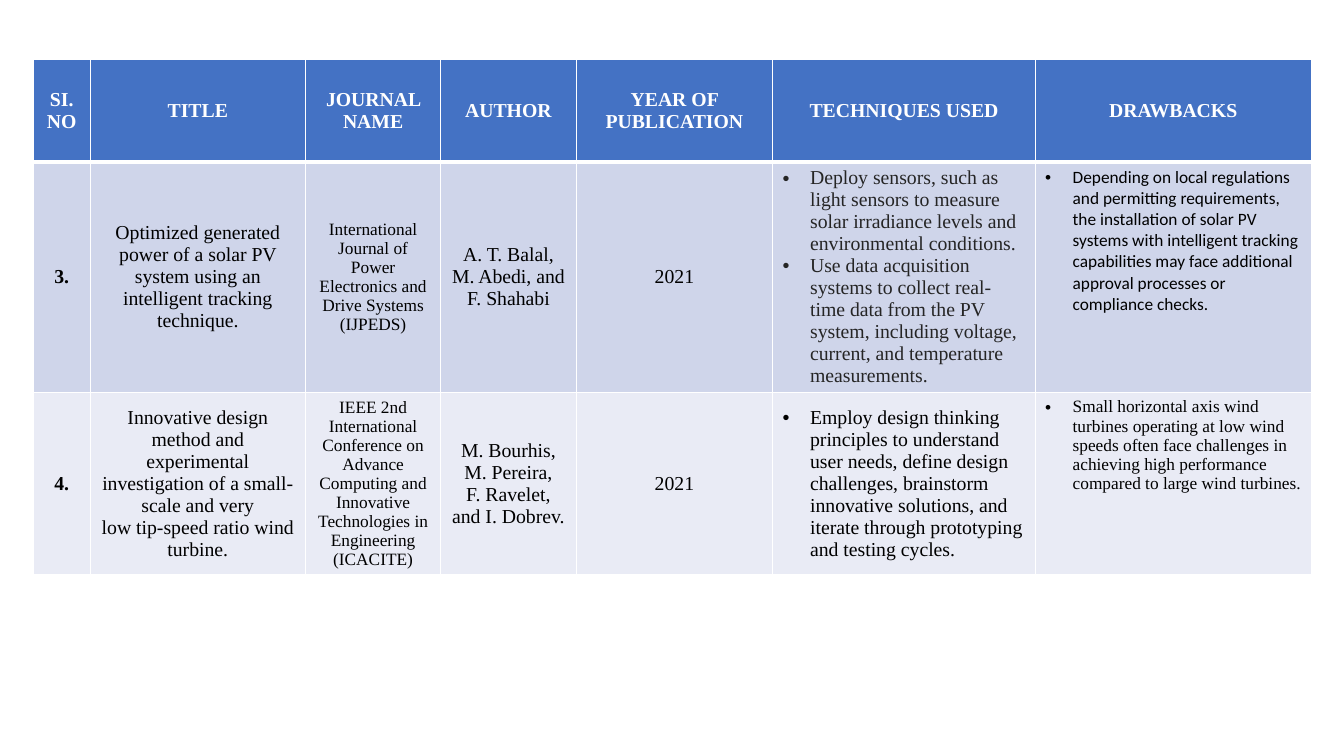
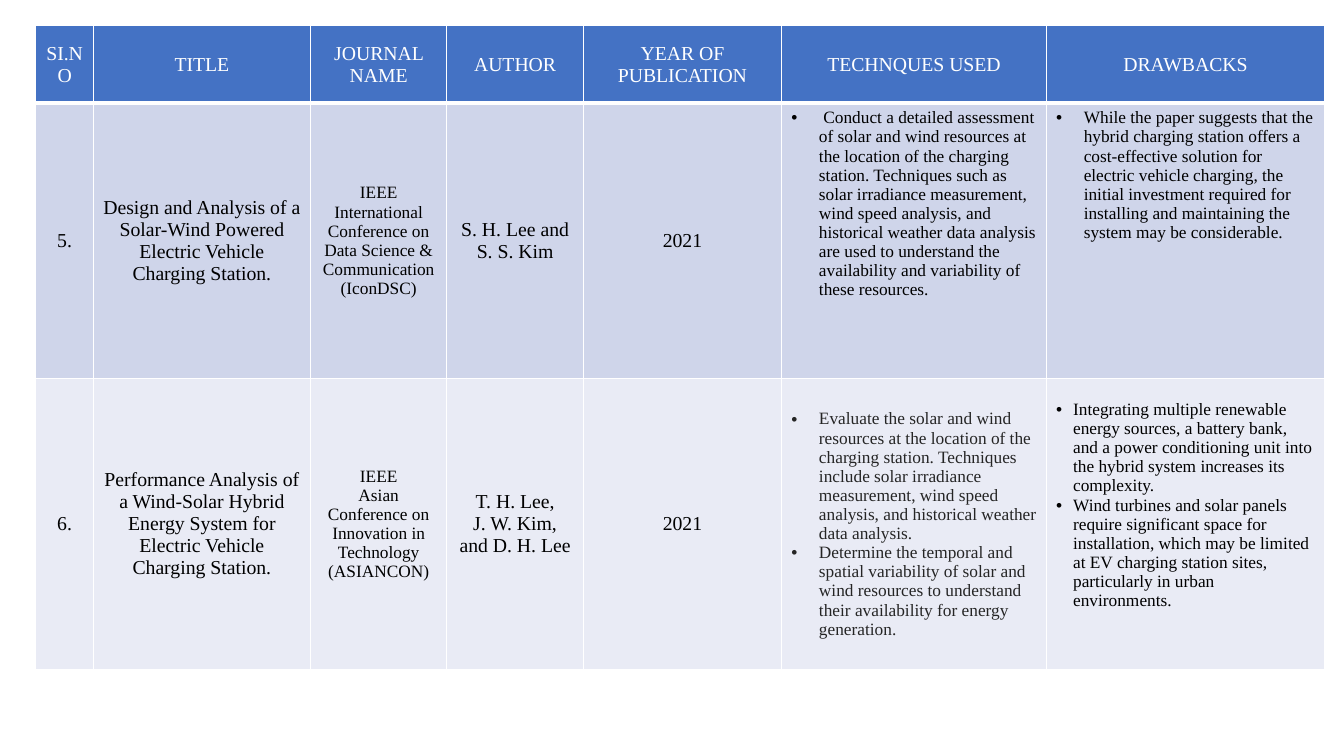
import dataclasses

import lxml.etree
import pptx
import pptx.dml.color
import pptx.enum.text
import pptx.oxml.ns
import pptx.util

RGBColor = pptx.dml.color.RGBColor
ANCHOR = pptx.enum.text.MSO_ANCHOR
ALIGN = pptx.enum.text.PP_ALIGN
Inches = pptx.util.Inches
Pt = pptx.util.Pt

WHITE = RGBColor(0xFF, 0xFF, 0xFF)
BLACK = RGBColor(0x00, 0x00, 0x00)
CHARCOAL = RGBColor(0x25, 0x25, 0x25)
HEADER_BLUE = RGBColor(0x44, 0x72, 0xC4)
BAND_FILLS = (RGBColor(0xCF, 0xD5, 0xEA), RGBColor(0xE9, 0xEB, 0xF5))

SLIDE_WIDTH, SLIDE_HEIGHT = 15.11, 8.5
COLUMN_WEIGHTS = (0.64, 2.42, 1.52, 1.52, 2.21, 2.95, 3.1)
SIDE_INSET, EDGE_INSET = 0.11, 0.06
THIN_RULE, HEADER_RULE = 1, 3
LARGE, SMALL = 16, 14


@dataclasses.dataclass
class Entry:
    """The paragraphs of one table cell and their common formatting."""
    paragraphs: tuple
    size: int = LARGE
    bold: bool = False
    color: RGBColor = BLACK
    font: str = "Times New Roman"
    anchor: ANCHOR = ANCHOR.MIDDLE
    bullet_indent: float = 0
    top_inset: float = EDGE_INSET


def centered(*paragraphs, **formatting):
    return Entry(paragraphs, **formatting)


def bullets(*paragraphs, anchor=ANCHOR.TOP, bullet_indent=0.31, **formatting):
    return Entry(paragraphs, anchor=anchor, bullet_indent=bullet_indent, **formatting)


def add_xml(parent, tag, **attributes):
    return lxml.etree.SubElement(parent, pptx.oxml.ns.qn(tag), attributes)


def add_bullet(paragraph, indent):
    properties = paragraph._p.get_or_add_pPr()
    properties.set("marL", str(Inches(indent)))
    properties.set("indent", str(-Inches(indent)))
    add_xml(properties, "a:buFont", typeface="Arial")
    add_xml(properties, "a:buChar", char="•")


def set_borders(cell, top, bottom):
    """Draw white rules round the cell; call it before setting the fill."""
    properties = cell._tc.get_or_add_tcPr()
    sides = {"a:lnL": THIN_RULE, "a:lnR": THIN_RULE, "a:lnT": top, "a:lnB": bottom}
    for side, width in sides.items():
        rule = add_xml(properties, side, w=str(Pt(width)))
        add_xml(add_xml(rule, "a:solidFill"), "a:srgbClr", val=str(WHITE))


def write_entry(cell, entry):
    cell.vertical_anchor = entry.anchor
    cell.margin_left = cell.margin_right = Inches(SIDE_INSET)
    cell.margin_top = Inches(entry.top_inset)
    cell.margin_bottom = Inches(EDGE_INSET)
    cell.text = "\n".join(entry.paragraphs)
    for paragraph in cell.text_frame.paragraphs:
        if entry.bullet_indent:
            paragraph.alignment = ALIGN.LEFT
            add_bullet(paragraph, entry.bullet_indent)
        else:
            paragraph.alignment = ALIGN.CENTER
        paragraph.font.name = entry.font
        paragraph.font.size = Pt(entry.size)
        paragraph.font.bold = entry.bold
        paragraph.font.color.rgb = entry.color


def header_row(techniques_heading, bold):
    headings = ("SI.NO", "TITLE", "JOURNAL NAME", "AUTHOR",
                "YEAR OF PUBLICATION", techniques_heading, "DRAWBACKS")
    return [centered(heading, bold=bold, color=WHITE) for heading in headings]


def paper_row(number, title, journal, authors, year, techniques, drawbacks, bold_number=False):
    return [centered(number, bold=bold_number), centered(*title),
            centered(*journal, size=SMALL), centered(*authors), centered(year),
            techniques, drawbacks]


def add_survey_slide(deck, left, top, width, row_heights, rows):
    """Add a literature table; left, top and width are shares of the slide."""
    slide = deck.slides.add_slide(deck.slide_layouts[6])
    table_width = width * SLIDE_WIDTH
    table = slide.shapes.add_table(
        len(rows), len(COLUMN_WEIGHTS),
        Inches(left * SLIDE_WIDTH), Inches(top * SLIDE_HEIGHT),
        Inches(table_width), Inches(sum(row_heights))).table
    table.horz_banding = False
    for column, weight in zip(table.columns, COLUMN_WEIGHTS):
        column.width = Inches(table_width * weight / sum(COLUMN_WEIGHTS))
    for index, (entries, height) in enumerate(zip(rows, row_heights)):
        table.rows[index].height = Inches(height)
        fill = BAND_FILLS[(index - 1) % 2] if index else HEADER_BLUE
        for cell, entry in zip(table.rows[index].cells, entries):
            set_borders(cell,
                        top=HEADER_RULE if index == 1 else THIN_RULE,
                        bottom=HEADER_RULE if index == 0 else THIN_RULE)
            cell.fill.solid()
            cell.fill.fore_color.rgb = fill
            write_entry(cell, entry)


def add_tracking_and_turbine_papers(deck):
    add_survey_slide(deck, 0.0247, 0.079, 0.951, (1.15, 2.2, 1.46), [
        header_row("TECHNIQUES USED", bold=True),
        paper_row(
            "3.",
            ["Optimized generated power of a solar PV system using an intelligent "
             "tracking technique."],
            ["International Journal of Power Electronics and Drive Systems (IJPEDS)"],
            ["A. T. Balal, M. Abedi, and F. Shahabi"],
            "2021",
            bullets(
                "Deploy sensors, such as light sensors to measure solar irradiance "
                "levels and environmental conditions.",
                "Use data acquisition systems to collect real-time data from the PV "
                "system, including voltage, current, and temperature measurements.",
                color=CHARCOAL),
            bullets(
                "Depending on local regulations and permitting requirements, the "
                "installation of solar PV systems with intelligent tracking "
                "capabilities may face additional approval processes or compliance "
                "checks.",
                size=SMALL, font="Calibri"),
            bold_number=True),
        paper_row(
            "4.",
            ["Innovative design method and experimental investigation of a "
             "small-scale and very",
             "low tip-speed ratio wind turbine."],
            ["IEEE 2nd International Conference on Advance Computing and Innovative "
             "Technologies in Engineering (ICACITE)"],
            ["M. Bourhis, M. Pereira,", "F. Ravelet, and I. Dobrev."],
            "2021",
            bullets(
                "Employ design thinking principles to understand user needs, define "
                "design challenges, brainstorm innovative solutions, and iterate "
                "through prototyping and testing cycles.",
                anchor=ANCHOR.MIDDLE),
            bullets(
                "Small horizontal axis wind turbines operating at low wind speeds "
                "often face challenges in achieving high performance compared to "
                "large wind turbines.",
                size=SMALL),
            bold_number=True),
    ])


def add_charging_station_papers(deck):
    add_survey_slide(deck, 0.0267, 0.034, 0.959, (0.87, 3.1, 3.27), [
        header_row("TECHNQUES USED", bold=False),
        paper_row(
            "5.",
            ["Design and Analysis of a Solar-Wind Powered Electric Vehicle Charging "
             "Station."],
            ["IEEE",
             "International Conference on Data Science & Communication (IconDSC)"],
            ["S. H. Lee and S. S. Kim"],
            "2021",
            bullets(
                " Conduct a detailed assessment of solar and wind resources at the "
                "location of the charging station. Techniques such as solar irradiance "
                "measurement, wind speed analysis, and historical weather data "
                "analysis are used to understand the availability and variability of "
                "these resources.",
                size=SMALL),
            bullets(
                "While the paper suggests that the hybrid charging station offers a "
                "cost-effective solution for electric vehicle charging, the initial "
                "investment required for installing and maintaining the system may be "
                "considerable.",
                size=SMALL)),
        paper_row(
            "6.",
            ["Performance Analysis of a Wind-Solar Hybrid Energy System for Electric "
             "Vehicle Charging Station."],
            ["IEEE", "Asian Conference on Innovation in Technology (ASIANCON)"],
            ["T. H. Lee,", "J. W. Kim, and D. H. Lee"],
            "2021",
            bullets(
                "Evaluate the solar and wind resources at the location of the charging "
                "station. Techniques include solar irradiance measurement, wind speed "
                "analysis, and historical weather data analysis.",
                "Determine the temporal and spatial variability of solar and wind "
                "resources to understand their availability for energy generation.",
                size=SMALL, color=CHARCOAL, anchor=ANCHOR.MIDDLE),
            bullets(
                "Integrating multiple renewable energy sources, a battery bank, and a "
                "power conditioning unit into the hybrid system increases its "
                "complexity.",
                "Wind turbines and solar panels require significant space for "
                "installation, which may be limited at EV charging station sites, "
                "particularly in urban environments.",
                size=SMALL, bullet_indent=0.19, top_inset=0.24)),
    ])


def main():
    deck = pptx.Presentation()
    deck.slide_width = Inches(SLIDE_WIDTH)
    deck.slide_height = Inches(SLIDE_HEIGHT)
    add_tracking_and_turbine_papers(deck)
    add_charging_station_papers(deck)
    deck.save("out.pptx")


if __name__ == "__main__":
    main()
